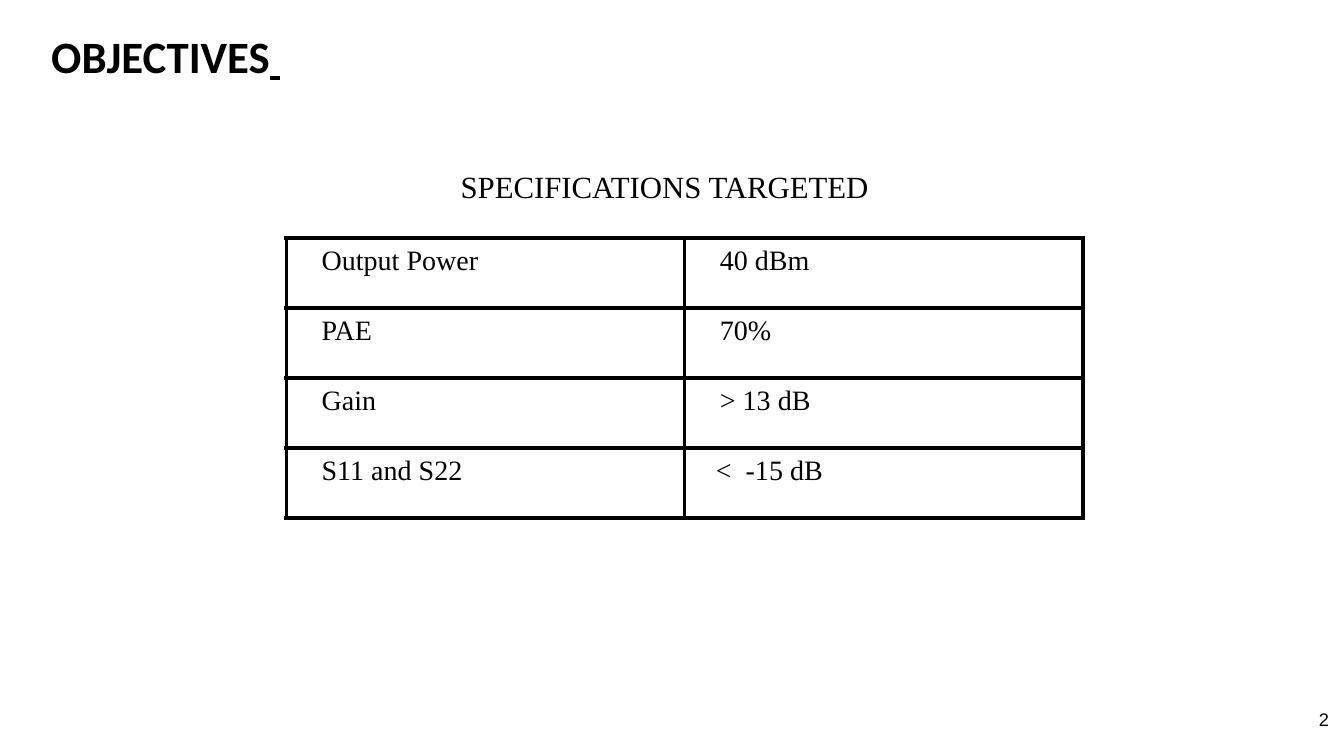
from dataclasses import dataclass

from lxml import etree
from pptx import Presentation
from pptx.dml.color import RGBColor
from pptx.enum.text import MSO_ANCHOR, PP_ALIGN
from pptx.oxml.ns import qn
from pptx.util import Pt

PX = 9144  # EMU per px, 100 px to the inch
LEFT, RIGHT = PP_ALIGN.LEFT, PP_ALIGN.RIGHT
TOP, MIDDLE = MSO_ANCHOR.TOP, MSO_ANCHOR.MIDDLE
SIDES = ("a:lnL", "a:lnR", "a:lnT", "a:lnB")


@dataclass(frozen=True)
class Theme:
    ink: str = "000000"
    head: str = "Calibri"
    body: str = "Times New Roman"
    plain: str = "Arial"
    title: int = 32
    label: int = 22
    cell: int = 20
    number: int = 13
    line: int = 3


def add_text(para, text, font, size, color, bold=False, under=False):
    run = para.add_run()
    run.text = text
    face = run.font
    face.name, face.size = font, Pt(size)
    face.bold, face.underline = bold, under
    face.color.rgb = RGBColor.from_string(color)


class Board:
    def __init__(self, slide, theme):
        self.slide = slide
        self.theme = theme

    def box(self, x, y, w, h, inset=10, align=LEFT, anchor=TOP):
        """Add a text box and return its first paragraph."""
        shape = self.slide.shapes.add_textbox(x * PX, y * PX, w * PX, h * PX)
        frame = shape.text_frame
        frame.word_wrap = True
        frame.vertical_anchor = anchor
        frame.margin_left = frame.margin_right = 10 * PX
        frame.margin_top = frame.margin_bottom = inset * PX
        para = frame.paragraphs[0]
        para.alignment = align
        return para

    def border(self, cell):
        props = cell._tc.get_or_add_tcPr()
        for spot, side in enumerate(SIDES):
            line = etree.Element(qn(side), w=str(Pt(self.theme.line)))
            fill = etree.SubElement(line, qn("a:solidFill"))
            etree.SubElement(fill, qn("a:srgbClr"), val=self.theme.ink)
            props.insert(spot, line)

    def cell(self, cell, text, indent):
        cell.fill.background()
        self.border(cell)
        cell.margin_left = cell.margin_right = 10 * PX
        cell.margin_top = cell.margin_bottom = 10 * PX
        para = cell.text_frame.paragraphs[0]
        props = para._p.get_or_add_pPr()
        props.set("marL", str(indent * PX))
        props.set("indent", "0")
        para.line_spacing = 0.9
        add_text(para, text, self.theme.body, self.theme.cell, self.theme.ink)

    def table(self, x, y, w, h, rows):
        frame = self.slide.shapes.add_table(
            len(rows), len(rows[0]), x * PX, y * PX, w * PX, h * PX)
        grid = frame.table
        grid.first_row = grid.horz_banding = False
        for r, row in enumerate(rows):
            for c, (text, indent) in enumerate(row):
                self.cell(grid.cell(r, c), text, indent)


def main():
    deck = Presentation()
    deck.slide_width, deck.slide_height = 1333 * PX, 750 * PX
    theme = Theme()
    board = Board(deck.slides.add_slide(deck.slide_layouts[6]), theme)

    # Slide number
    para = board.box(1248, 693, 80, 57, align=RIGHT)
    add_text(para, "2", theme.plain, theme.number, theme.ink)

    # Title with its underlined tail
    para = board.box(41, 28, 812, 54, inset=5, anchor=MIDDLE)
    add_text(para, "OBJECTIVES", theme.head, theme.title, theme.ink, bold=True)
    add_text(para, " ", theme.head, theme.title, theme.ink, under=True)

    # Target table: text and indent of each cell
    board.table(284, 236, 790, 278, [
        [("Output Power", 25), ("40 dBm", 25)],
        [("PAE", 25), ("70%", 25)],
        [("Gain", 25), ("> 13 dB", 25)],
        [("S11 and S22", 25), ("<  -15 dB", 21)],
    ])

    # Table heading
    para = board.box(447, 156, 432, 80)
    add_text(para, "SPECIFICATIONS TARGETED", theme.body, theme.label, theme.ink)

    deck.save("out.pptx")


if __name__ == "__main__":
    main()
